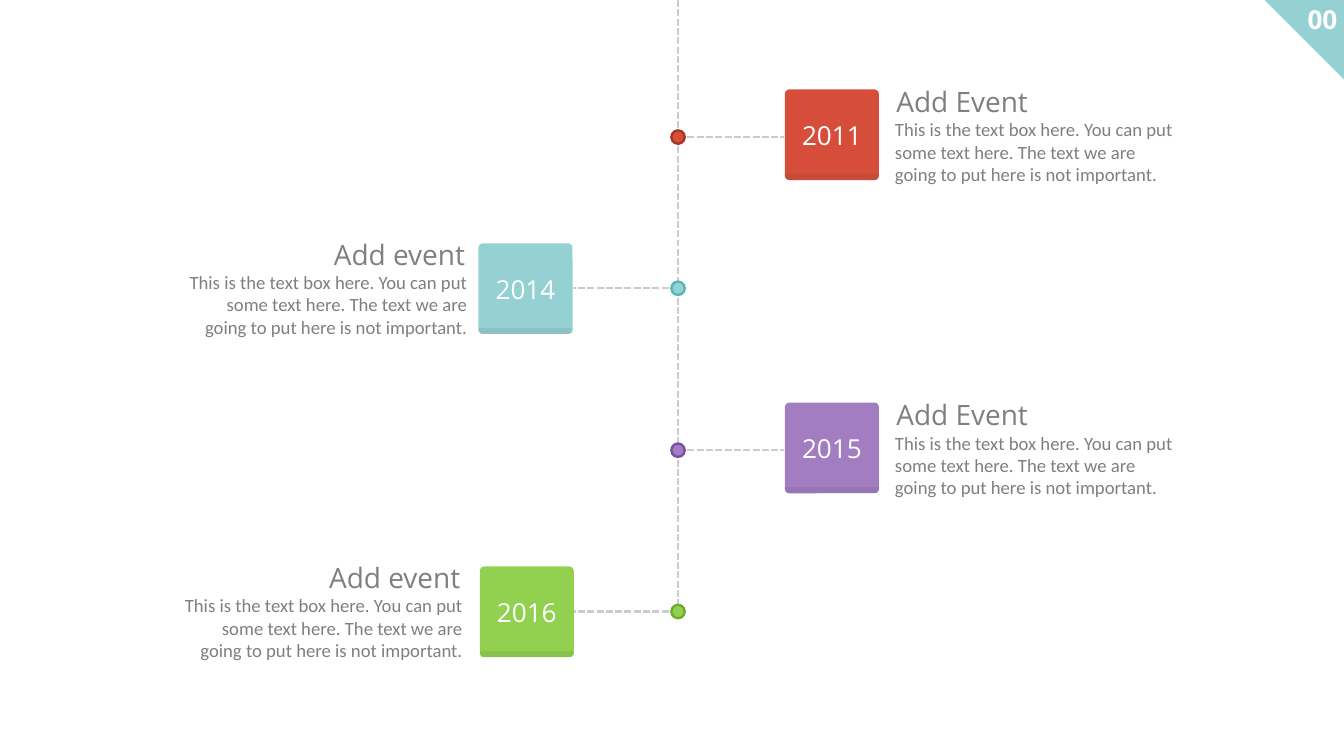
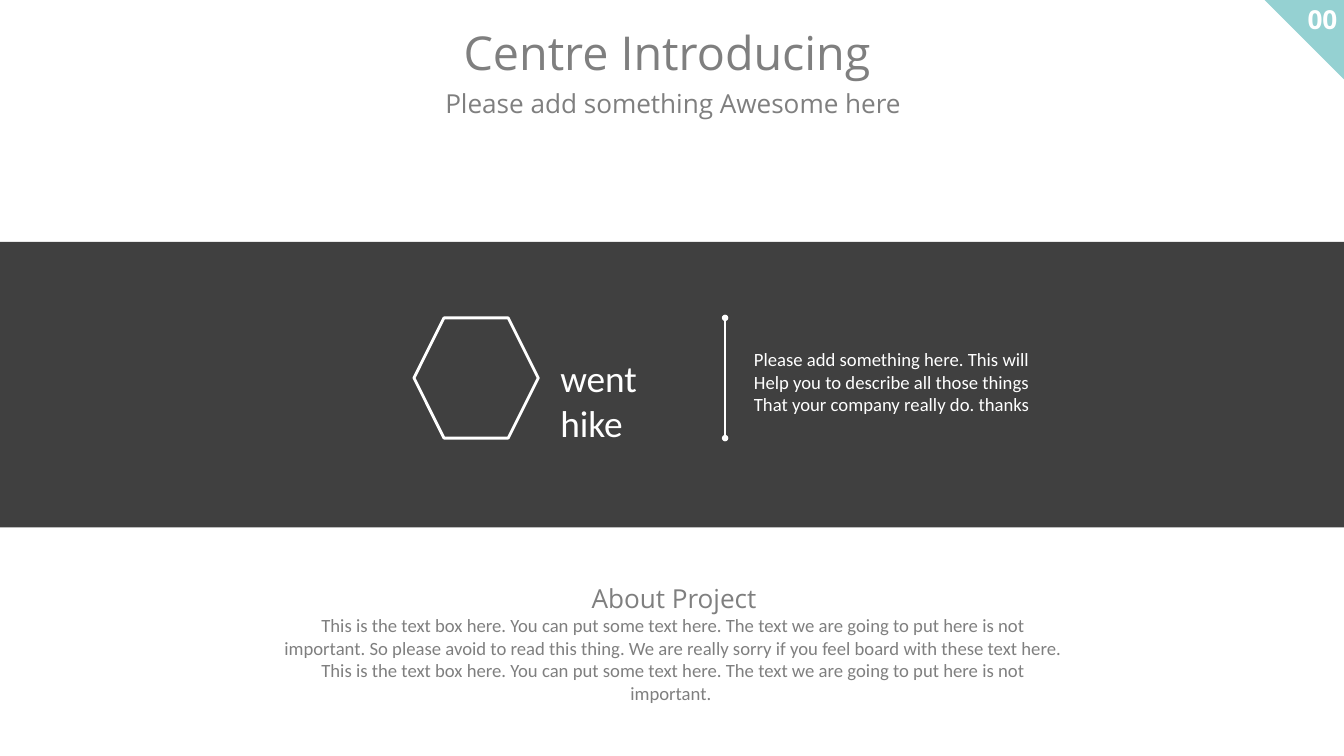
from lxml import etree
from pptx import Presentation
from pptx.dml.color import RGBColor
from pptx.enum.dml import MSO_LINE
from pptx.enum.shapes import MSO_CONNECTOR, MSO_SHAPE
from pptx.enum.text import MSO_ANCHOR, MSO_AUTO_SIZE, PP_ALIGN
from pptx.oxml.ns import qn
from pptx.util import Inches, Pt

WIDTH, HEIGHT = 20, 11.25
WHITE, GREY, DARK, DASH = "FFFFFF", "7F7F7F", "404040", "CCCCCC"
RED, TEAL, PURPLE, GREEN = "D64D3A", "95D1D2", "A27DC2", "92D050"
HEADING, BODY = "Open Sans", "Calibri"
LEFT, CENTRE, RIGHT = PP_ALIGN.LEFT, PP_ALIGN.CENTER, PP_ALIGN.RIGHT

PAGE_NUMBER = "00"
EVENT_TEXT = ("This is the text box here. You can put some text here. "
              "The text we are going to put here is not important.")
# year, heading, side, node height, card left, inner edge of text, fill, node outline
EVENTS = [
    ("2011", "Add Event", "right", 2.04, 11.68, 13.22, RED, "A93323"),
    ("2014", "Add event", "left", 4.29, 7.12, 7.05, TEAL, "56B6B7"),
    ("2015", "Add Event", "right", 6.7, 11.68, 13.22, PURPLE, "7B4CA3"),
    ("2016", "Add event", "left", 9.1, 7.14, 6.98, GREEN, "6EAA2E"),
]
# branch end, card top above node, heading top above card
SIDES = {"right": (11.67, 0.71, 0.12), "left": (8.52, 0.67, 0.14)}
AXIS, NODE = 10.09, 0.2
CARD_WIDTH, CARD_HEIGHT, EDGE_HEIGHT = 1.4, 1.35, 0.09
HEAD_WIDTH, TEXT_WIDTH = 2.17, 4.4

TITLE = "Centre Introducing "
SUBTITLE = "Please add something Awesome here"
BRAND = "went hike"
PITCH = [
    "Please add something here. This will",
    "Help you to describe all those things",
    "That your company really do. thanks",
]
ABOUT_HEADING = "About Project"
ABOUT_TEXT = (EVENT_TEXT + " So please avoid to read this thing. We are really sorry "
              "if you feel board with these text here. " + EVENT_TEXT + " ")
BAND_TOP, BAND_HEIGHT = 3.6, 4.25
MARK_TOP, MARK_HEIGHT = 4.73, 1.79


def colour(hex_string):
    return RGBColor.from_string(hex_string)


def inches(*lengths):
    return [Inches(length) for length in lengths]


def write(shape, lines, size, font, text_colour, align, wrap=True, bold=False):
    frame = shape.text_frame
    frame.text = "\n".join(lines) if isinstance(lines, list) else lines
    frame.word_wrap = wrap
    for paragraph in frame.paragraphs:
        paragraph.alignment = align
        for run in paragraph.runs:
            run.font.size, run.font.name, run.font.bold = Pt(size), font, bold
            run.font.color.rgb = colour(text_colour)


def add_text(shapes, box, lines, size, font=BODY, text_colour=GREY, align=LEFT, **options):
    write(shapes.add_textbox(*inches(*box)), lines, size, font, text_colour, align, **options)


def add_shape(shapes, kind, box, fill=None, outline=None, weight=2.5, adjustments=()):
    shape = shapes.add_shape(kind, *inches(*box))
    shape.shadow.inherit = False
    for index, value in enumerate(adjustments):
        shape.adjustments[index] = value
    if fill:
        shape.fill.solid()
        shape.fill.fore_color.rgb = colour(fill)
    else:
        shape.fill.background()
    if outline:
        shape.line.color.rgb = colour(outline)
        shape.line.width = Pt(weight)
    else:
        shape.line.fill.background()
    return shape


def add_line(shapes, start, end, line_colour, weight=2.5, dashed=False, oval_ends=False):
    line = shapes.add_connector(MSO_CONNECTOR.STRAIGHT, *inches(*start, *end))
    line.line.color.rgb = colour(line_colour)
    line.line.width = Pt(weight)
    if dashed:
        line.line.dash_style = MSO_LINE.SQUARE_DOT
    if oval_ends:
        for tag in ("a:headEnd", "a:tailEnd"):
            etree.SubElement(line.line._get_or_add_ln(), qn(tag), type="oval")
    etree.SubElement(line._element.spPr, qn("a:effectLst"))


def set_opacity(shape, percent):
    tint = shape.fill._xPr.find(qn("a:solidFill"))[0]
    etree.SubElement(tint, qn("a:alpha"), val=str(percent * 1000))


def add_corner(slide):
    """Page number on the triangle in the top right corner."""
    shapes = slide.shapes.add_group_shape().shapes
    side = 1.18
    triangle = add_shape(shapes, MSO_SHAPE.ISOSCELES_TRIANGLE, (WIDTH - side, 0, side, side),
                         TEAL, adjustments=[0])
    triangle.rotation = 180
    add_text(shapes, (WIDTH - 0.65, 0, 0.65, 0.57), PAGE_NUMBER, 28, HEADING, WHITE, RIGHT,
             wrap=False, bold=True)


def add_event(slide, year, heading, side, node_y, card_left, text_edge, fill, outline):
    branch_end, lift, rise = SIDES[side]
    add_line(slide.shapes, (AXIS, node_y), (branch_end, node_y), DASH, dashed=True)
    add_shape(slide.shapes, MSO_SHAPE.OVAL, (AXIS - NODE / 2, node_y - NODE / 2, NODE, NODE),
              fill, outline)

    if side == "right":
        align, head_left, text_left = LEFT, text_edge + 0.02, text_edge
    else:
        align = RIGHT
        head_left, text_left = text_edge - 0.03 - HEAD_WIDTH, text_edge - TEXT_WIDTH
    card_top = node_y - lift
    head_top = card_top - rise
    shapes = slide.shapes.add_group_shape().shapes
    add_text(shapes, (head_left, head_top, HEAD_WIDTH, 0.61), heading, 30, HEADING,
             align=align, wrap=False)
    add_text(shapes, (text_left, head_top + 0.5, TEXT_WIDTH, 1.11), EVENT_TEXT, 20, align=align)
    card = add_shape(shapes, MSO_SHAPE.ROUNDED_RECTANGLE,
                     (card_left, card_top, CARD_WIDTH, CARD_HEIGHT), fill, adjustments=[0.05])
    write(card, year, 28, HEADING, WHITE, CENTRE)
    card.text_frame.vertical_anchor = MSO_ANCHOR.MIDDLE
    edge = add_shape(shapes, MSO_SHAPE.ROUND_2_SAME_RECTANGLE,
                     (card_left, card_top + CARD_HEIGHT - EDGE_HEIGHT, CARD_WIDTH, EDGE_HEIGHT),
                     DARK, adjustments=[0, 0.5])
    set_opacity(edge, 10)


def build_timeline(presentation):
    slide = presentation.slides.add_slide(presentation.slide_layouts[6])
    add_corner(slide)
    stops = [0] + [event[3] for event in EVENTS]
    for top, bottom in zip(stops, stops[1:]):
        add_line(slide.shapes, (AXIS, top), (AXIS, bottom), DASH, dashed=True)
    for event in EVENTS:
        add_event(slide, *event)


def build_introduction(presentation):
    slide = presentation.slides.add_slide(presentation.slide_layouts[5])
    shapes = slide.shapes
    title = shapes.title
    title.left, title.top, title.width, title.height = inches(6.79, 0.3, 6.46, 0.94)
    write(title, TITLE, 50, HEADING, GREY, CENTRE, wrap=False)
    title.text_frame.vertical_anchor = MSO_ANCHOR.TOP
    title.text_frame.auto_size = MSO_AUTO_SIZE.NONE
    add_shape(shapes, MSO_SHAPE.RECTANGLE, (0, BAND_TOP, WIDTH, BAND_HEIGHT), DARK)
    add_text(shapes, (6.47, 1.25, 7.09, 0.57), SUBTITLE, 28, HEADING, align=CENTRE, wrap=False)
    add_corner(slide)

    add_shape(shapes, MSO_SHAPE.HEXAGON, (6.16, MARK_TOP, 1.85, MARK_HEIGHT),
              outline=WHITE, weight=3)
    add_text(shapes, (8.24, 5.24, 2.28, 0.77), BRAND, 40, text_colour=WHITE)
    add_line(shapes, (10.79, MARK_TOP), (10.79, MARK_TOP + MARK_HEIGHT), WHITE, 2.3,
             oval_ends=True)
    add_text(shapes, (11.12, 5.13, 4.45, 1.11), PITCH, 20, text_colour=WHITE)

    about = shapes.add_group_shape().shapes
    add_text(about, (4.08, 9.09, 11.87, 1.11), ABOUT_TEXT, 20, align=CENTRE)
    add_text(about, (8.69, 8.61, 2.68, 0.57), ABOUT_HEADING, 28, HEADING, align=CENTRE,
             wrap=False)


def main():
    presentation = Presentation()
    presentation.slide_width, presentation.slide_height = inches(WIDTH, HEIGHT)
    build_timeline(presentation)
    build_introduction(presentation)
    presentation.save("out.pptx")


if __name__ == "__main__":
    main()
